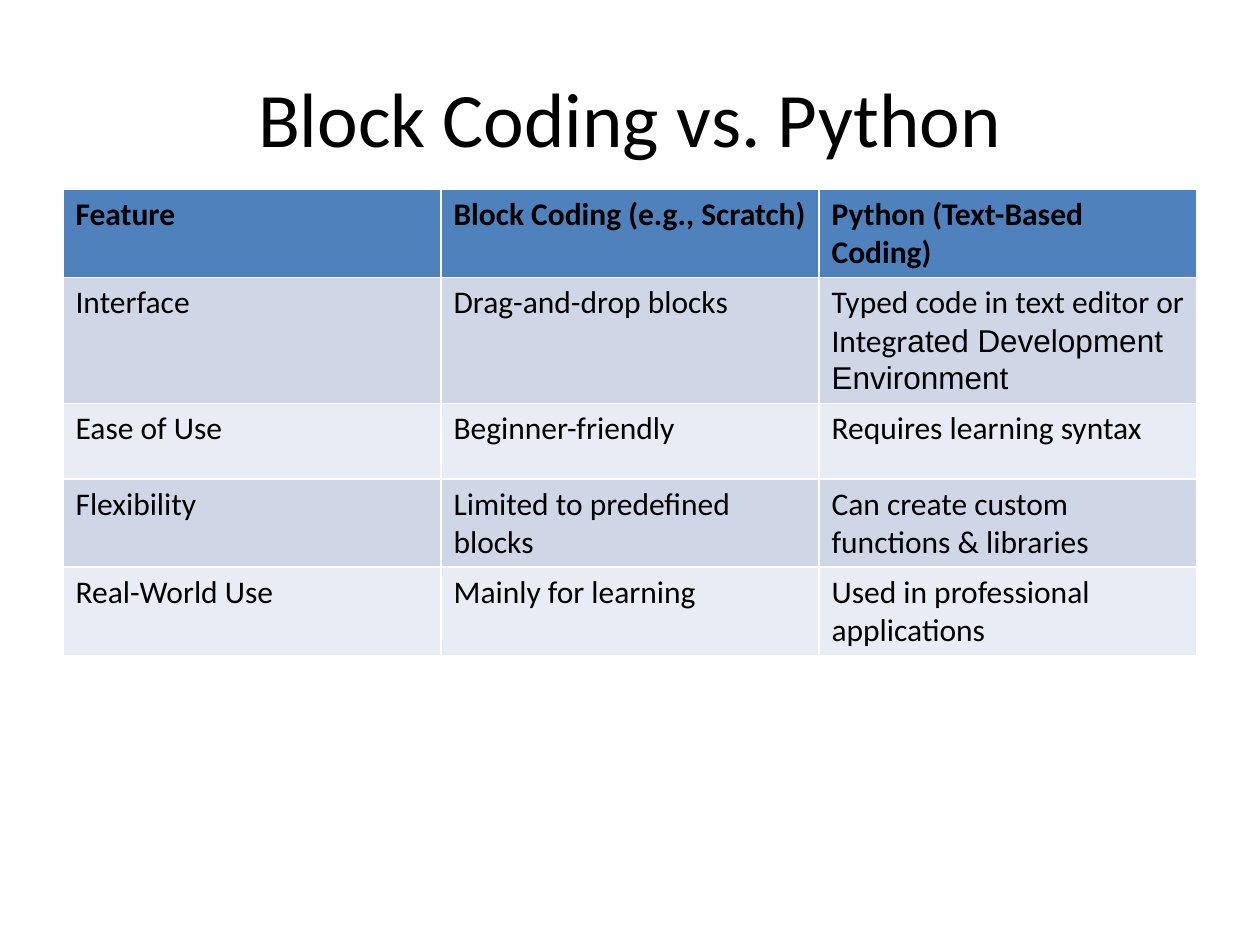
from dataclasses import dataclass

from pptx import Presentation
from pptx.dml.color import RGBColor
from pptx.enum import text
from pptx.util import Inches, Pt


@dataclass(frozen=True)
class Theme:
    font: str = "Calibri"
    alternate_font: str = "Arial"
    title_size: int = 44
    table_size: int = 18
    ink: str = "000000"
    header: str = "4F81BD"
    bands: tuple = ("CFD7E7", "E8ECF4")


THEME = Theme()

TITLE = "Block Coding vs. Python"
# A cell given as a tuple continues in the alternate font.
COMPARISON = [
    ["Feature", "Block Coding (e.g., Scratch)", "Python (Text-Based Coding)"],
    ["Interface", "Drag-and-drop blocks",
     ("Typed code in text editor or Integr", "ated Development Environment")],
    ["Ease of Use", "Beginner-friendly", "Requires learning syntax"],
    ["Flexibility", "Limited to predefined blocks",
     "Can create custom functions & libraries"],
    ["Real-World Use", "Mainly for learning",
     "Used in professional applications"],
]


def style_font(font, size, bold=False):
    font.name = THEME.font
    font.size = Pt(size)
    font.bold = bold
    font.color.rgb = RGBColor.from_string(THEME.ink)


def add_title(slide, left, top, width, height):
    frame = slide.shapes.add_textbox(left, top, width, height).text_frame
    frame.word_wrap = True
    frame.vertical_anchor = text.MSO_ANCHOR.MIDDLE
    heading = frame.paragraphs[0]
    heading.text = TITLE
    heading.alignment = text.PP_ALIGN.CENTER
    style_font(heading.font, THEME.title_size)


def fill_cell(cell, content, color, bold):
    cell.fill.solid()
    cell.fill.fore_color.rgb = RGBColor.from_string(color)
    paragraph = cell.text_frame.paragraphs[0]
    parts = (content,) if isinstance(content, str) else content
    for part, name in zip(parts, (THEME.font, THEME.alternate_font)):
        run = paragraph.add_run()
        run.text = part
        style_font(run.font, THEME.table_size, bold)
        run.font.name = name


def add_comparison(slide, left, top, width, height):
    """Table whose default style supplies the white cell borders."""
    table = slide.shapes.add_table(
        len(COMPARISON), len(COMPARISON[0]), left, top, width, height).table
    for index, row in enumerate(COMPARISON):
        is_header = index == 0
        color = THEME.header if is_header else THEME.bands[(index - 1) % 2]
        for cell, content in zip(table.rows[index].cells, row):
            fill_cell(cell, content, color, is_header)


def main():
    deck = Presentation()
    deck.slide_width, deck.slide_height = Inches(10), Inches(7.5)
    slide = deck.slides.add_slide(deck.slide_layouts[6])
    add_title(slide, Inches(0.5), Inches(0.3), Inches(9), Inches(1.25))
    add_comparison(slide, Inches(0.5), Inches(1.5), Inches(9), Inches(3))
    deck.save("out.pptx")


if __name__ == "__main__":
    main()
